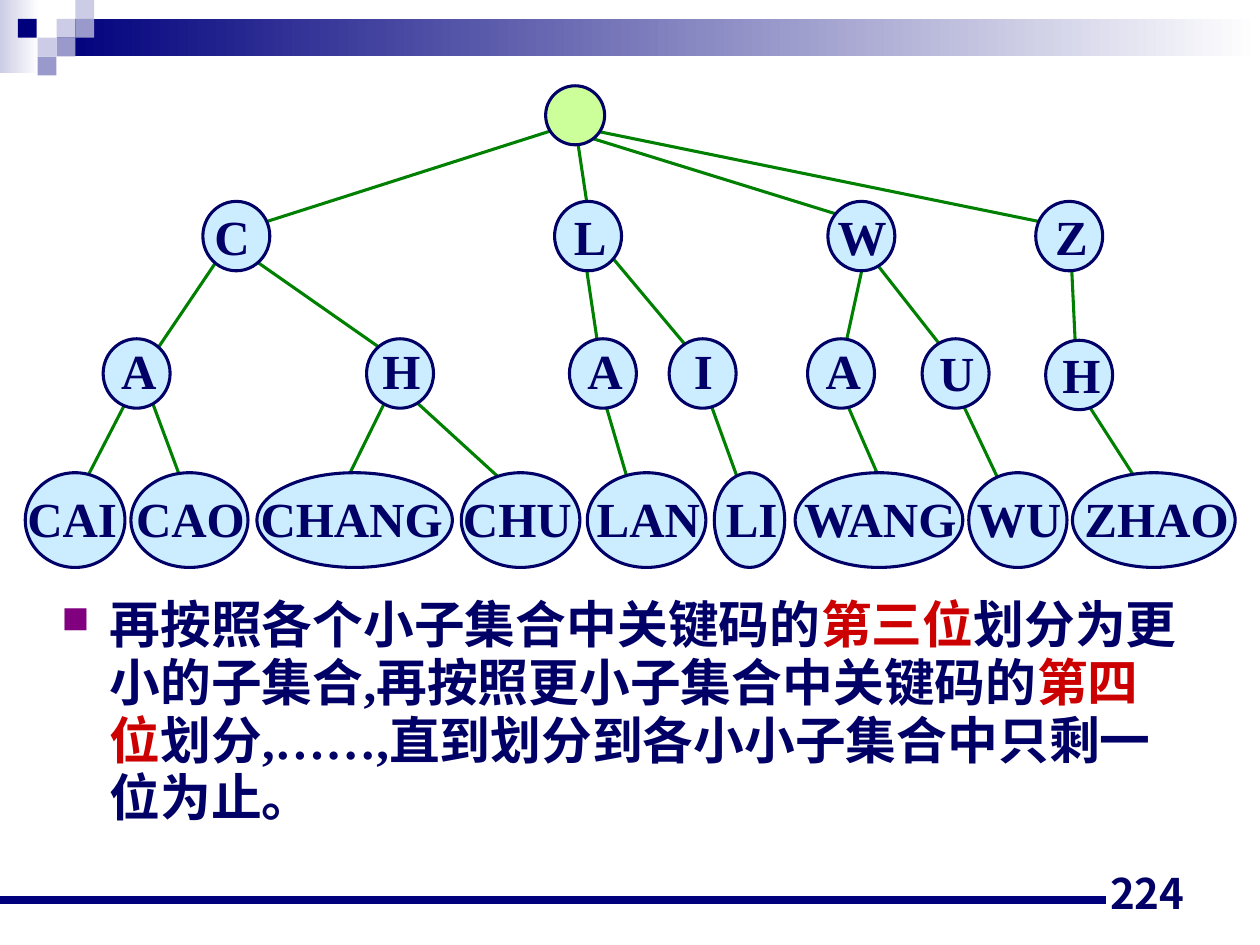
from lxml.etree import SubElement as Sub
from pptx import Presentation
from pptx.dml.color import RGBColor as RGB
from pptx.enum.shapes import MSO_CONNECTOR as Link, MSO_SHAPE as Kind
from pptx.enum.text import MSO_ANCHOR as Anchor, PP_ALIGN as Align
from pptx.oxml.ns import qn
from pptx.util import Cm, Pt

NAVY, INK = RGB(0, 0, 0x7D), RGB(0, 0, 0x66)
PALE, MID = RGB(0xCC, 0xCC, 0xE6), RGB(0x99, 0x99, 0xCC)
SKY, LIME = RGB(0xCC, 0xEC, 0xFF), RGB(0xCC, 0xFF, 0x99)
GREEN, RED = RGB(0, 0x80, 0), RGB(0xCC, 0, 0)
WHITE = RGB(0xFF, 0xFF, 0xFF)
SERIF, SANS = "Times New Roman", "Noto Sans CJK JP"

# Lengths are in centimetres.
BANDS = [((0, 0, 0.79, 1.47), PALE), ((1.14, 0.38, 24.26, 0.76), NAVY)]
TILE = 0.38
TILES = [(3, 1, PALE), (4, 0, PALE), (4, 1, MID), (2, 2, PALE),
         (0.95, 1, NAVY), (3, 2, MID), (2, 3, MID)]

ROOT = (11, 1.73, 1.19, 1.19)
DISC, SLOT = 1.35, 1.8  # width of a letter's circle and of its label
# Each row: circle top, height, label top, then
# (label, circle left, circle width, label left, label width).
LETTERS = [
    (4.06, 1.4, 4.04, [("C", 4.09, 3.78), ("L", 11.18, 11),
                       ("W", 16.69, 16.48), ("Z", 20.88, 20.7)]),
    (6.83, 1.4, 6.73, [("A", 2.08, 1.9), ("H", 7.39, 7.19), ("A", 11.48, 11.3),
                       ("I", 13.49, 13.28), ("A", 16.28, 16.1)]),
    (6.83, 1.4, 6.78, [("U", 18.59, 18.39)]),
    (6.86, 1.4, 6.83, [("H", 21.08, 20.9)]),
]
NAMES = (9.53, 1.91, 9.73, [
    ("CAI", 0.51, 2.01, 0.3, 2.31), ("CAO", 2.64, 2.36, 2.39, 2.9),
    ("CHANG", 5.18, 3.94, 4.78, 4.62), ("CHU", 9.3, 2.39, 8.97, 2.92),
    ("LAN", 11.84, 2.39, 11.61, 2.92), ("LI", 14.4, 1.42, 14, 2.31),
    ("WANG", 16.03, 3.38, 15.7, 4.09), ("WU", 19.53, 1.98, 19.2, 2.69),
    ("ZHAO", 21.62, 3.28, 21.51, 3.61)])
ROWS = [(top, high, base, [(tag, x, DISC, left, SLOT) for tag, x, left in row])
        for top, high, base, row in LETTERS] + [NAMES]

EDGES = [
    (5.21, 4.52, 11.51, 2.51), (11.61, 2.62, 11.91, 4.62),
    (11.71, 2.72, 17.2, 4.42), (11.91, 2.62, 21.21, 4.52),
    (4.39, 5.23, 3.1, 7.14), (5.11, 5.23, 7.7, 7.04),
    (11.81, 5.33, 12.09, 7.21), (12.29, 5.13, 13.89, 7.04),
    (17.4, 5.33, 16.99, 7.21), (17.6, 5.23, 19.1, 7.14),
    (21.59, 5.13, 21.69, 7.21),
    (2.79, 7.62, 1.7, 9.73), (3, 7.92, 3.71, 9.83),
    (7.9, 7.82, 6.91, 9.83), (8.31, 8.03, 10.39, 9.93),
    (11.91, 7.14, 12.7, 9.83), (14.1, 7.52, 15.01, 10.03),
    (16.89, 7.72, 17.81, 9.83), (19.3, 7.92, 20.4, 10.24),
    (21.59, 7.62, 23.01, 9.83),
]

BODY = [("再按照各个小子集合中关键码的", INK), ("第三位", RED),
        ("划分为更小的子集合,再按照更小子集合中关键码的".replace(",", ","), INK),
        ("第四位", RED),
        ("划分,……,直到划分到各小小子集合中只剩一位为止。".replace(",", ","), INK)]

deck = Presentation()
deck.slide_width, deck.slide_height = Cm(25.4), Cm(19.05)
slide = deck.slides.add_slide(deck.slide_layouts[6])
parts = slide.shapes


def block(kind, box, fill, edge=None, fade=False):
    """Add a filled shape, with an outline or a fade to white if asked."""
    shape = parts.add_shape(kind, *map(Cm, box))
    shape.shadow.inherit = False
    if fade:
        shape.fill.gradient()
        shape.fill.gradient_angle = 180
        for stop, tint in zip(shape.fill.gradient_stops, (WHITE, fill)):
            stop.color.rgb = tint
    else:
        shape.fill.solid()
        shape.fill.fore_color.rgb = fill
    if edge:
        shape.line.color.rgb = edge
        shape.line.width = Pt(1.76)
    else:
        shape.line.fill.background()


def rule(ends, tint, width):
    """Draw a straight line between two points."""
    line = parts.add_connector(Link.STRAIGHT, *map(Cm, ends))
    line.line.color.rgb = tint
    line.line.width = Pt(width)
    Sub(line._element.spPr, qn("a:effectLst"))


def style(para, face, size):
    """Give a paragraph its bold font."""
    font = para.font
    font.name, font.size, font.bold = face, Pt(size), True
    font.color.rgb = INK
    Sub(font._element, qn("a:ea"), typeface=SANS)


def label(box, text, face, size, align, anchor=Anchor.TOP, wrap=False):
    """Add a text box with one line of text."""
    frame = parts.add_textbox(*map(Cm, box)).text_frame
    frame.word_wrap, frame.vertical_anchor = wrap, anchor
    para = frame.paragraphs[0]
    para.text, para.alignment = text, align
    style(para, face, size)


def bullet(para):
    """Give a paragraph a small purple square and a hanging indent."""
    prop = para._p.get_or_add_pPr()
    prop.set("marL", str(Cm(0.97)))
    prop.set("indent", str(-Cm(0.97)))
    Sub(Sub(prop, qn("a:buClr")), qn("a:srgbClr"), val="800080")
    Sub(prop, qn("a:buSzPct"), val="75000")
    Sub(prop, qn("a:buChar"), char="■")


def body():
    """Add the bulleted text under the tree."""
    frame = parts.add_textbox(*map(Cm, (0.99, 11.91, 23.22, 5.41))).text_frame
    frame.word_wrap = True
    para = frame.paragraphs[0]
    bullet(para)
    para.line_spacing, para.space_before = 0.95, Pt(1.8)
    style(para, SERIF, 29)
    for text, tint in BODY:
        run = para.add_run()
        run.text = text
        run.font.color.rgb = tint


for box, tint in BANDS:
    block(Kind.RECTANGLE, box, tint, fade=True)
for col, row, tint in TILES:
    block(Kind.RECTANGLE, (col * TILE, row * TILE, TILE, TILE), tint)
rule((0, 18.14, 22.3, 18.14), NAVY, 4.51)
body()

for ends in EDGES:
    rule(ends, GREEN, 1.76)
block(Kind.OVAL, ROOT, LIME, INK)
for top, high, base, row in ROWS:
    for tag, x, wide, left, room in row:
        block(Kind.OVAL, (x, top, wide, high), SKY, INK)
        label((left, base, room, 1.45), tag, SERIF, 28, Align.CENTER, wrap=True)

label((18.21, 17.35, 5.92, 1.27), "224", SANS, 24, Align.RIGHT, Anchor.BOTTOM, True)
deck.save("out.pptx")
